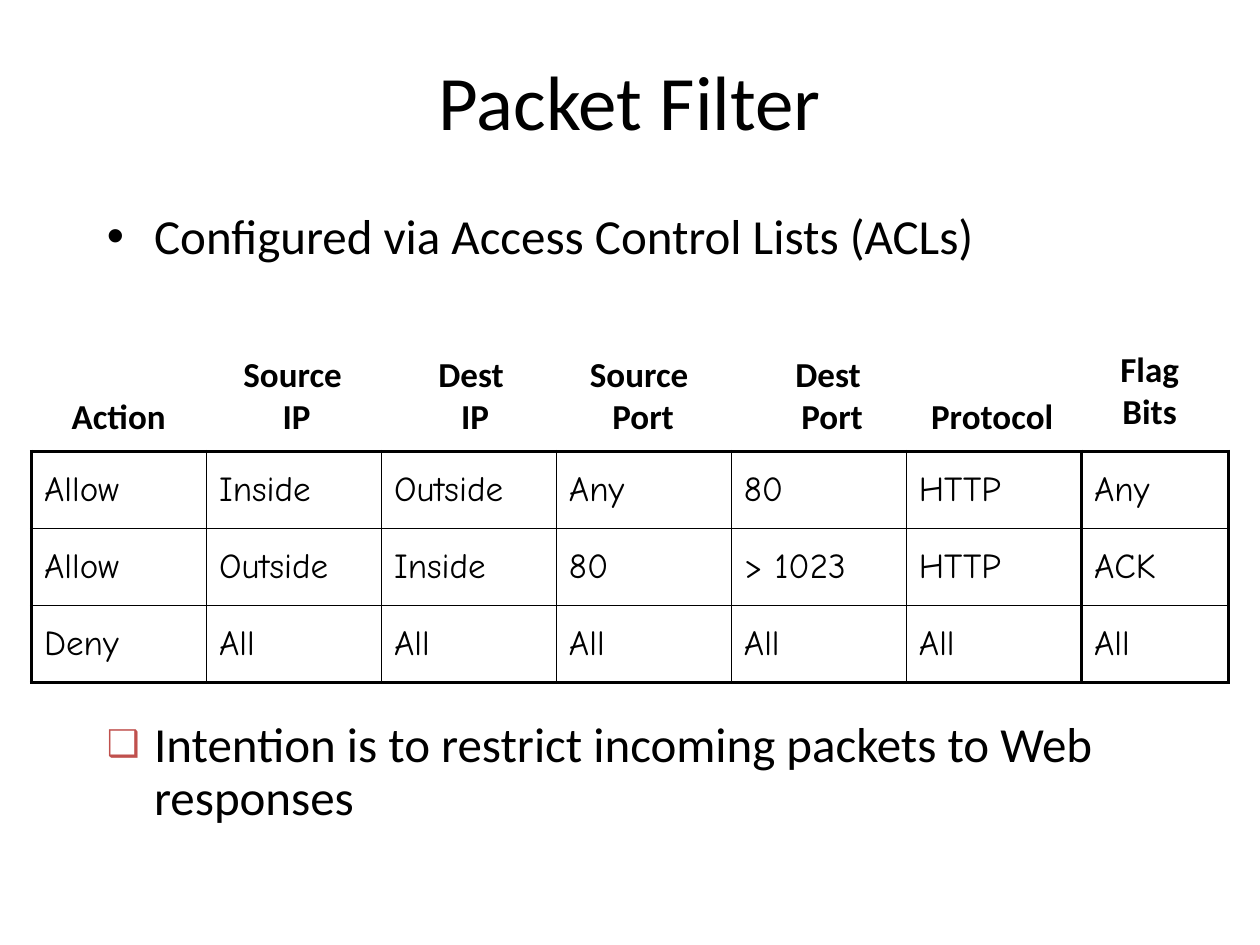
from lxml.etree import SubElement
from pptx import Presentation
from pptx.dml.color import RGBColor as Rgb
from pptx.enum.text import MSO_ANCHOR as Anchor, PP_ALIGN as Align
from pptx.oxml.ns import qn
from pptx.util import Pt

COLORS = {"ink": "000000", "accent": "C0504D"}
BODY_FONT, RULE_FONT = "Calibri", "Comic Neue"

TITLE = ("Packet Filter", (54, 24, 612, 66))
BULLETS = [
    ("Configured via Access Control Lists (ACLs)", (54, 114, 624, 78), "•", "ink", 100, 1.0),
    ("Intention is to restrict incoming packets to Web responses",
     (54, 408, 612, 72), "❑", "accent", 75, 0.9),
]
HEADINGS = [
    (["Action"], (30, 222, 75.6, 35)),
    (["Source ", "IP"], (126, 198, 87, 63)),
    (["Dest ", "IP"], (228, 198, 87, 63)),
    (["Source ", "Port"], (324, 198, 87, 63)),
    (["Dest ", "Port"], (432, 198, 87, 63)),
    (["Protocol"], (516, 222, 102, 35)),
    (["Flag", "Bits"], (606, 195, 102, 63)),
]
RULES = [
    ["Allow", "Inside", "Outside", "Any", "80", "HTTP"],
    ["Allow", "Outside", "Inside", "80", "> 1023", "HTTP"],
    ["Deny", "All", "All", "All", "All", "All"],
]
FLAGS = [["Any"], ["ACK"], ["All"]]
TABLE_TOP, ROW_HEIGHT = 258, 44
RULES_LEFT, RULE_WIDTH = 18, 100
FLAG_WIDTH = 84
THICK, THIN = 2.25, 1


def style(paragraph, size, face=BODY_FONT, bold=False):
    font = paragraph.font
    font.size, font.name, font.bold = Pt(size), face, bold
    font.color.rgb = Rgb.from_string(COLORS["ink"])


def add_text(slide, lines, box, size, align=Align.LEFT, bold=False, anchor=Anchor.TOP):
    frame = slide.shapes.add_textbox(*map(Pt, box)).text_frame
    frame.word_wrap = True
    frame.vertical_anchor = anchor
    frame.text = "\n".join(lines)
    for paragraph in frame.paragraphs:
        paragraph.alignment = align
        style(paragraph, size, bold=bold)
    return frame


def add_bullet(slide, text, box, mark, color, percent, spacing):
    paragraph = add_text(slide, [text], box, 28).paragraphs[0]
    paragraph.space_before = Pt(5.6)
    paragraph.line_spacing = spacing
    props = paragraph._p.get_or_add_pPr()
    props.set("marL", str(Pt(27)))
    props.set("indent", str(-Pt(27)))
    bullet = [("buClr", {}), ("buSzPct", {"val": str(percent * 1000)}),
              ("buFont", {"typeface": "Arial"}), ("buChar", {"char": mark})]
    first = len(props) - len(props.findall(qn("a:defRPr")))
    for offset, (tag, attributes) in enumerate(bullet):
        node = SubElement(props, qn("a:" + tag), attributes)
        props.insert(first + offset, node)
        if tag == "buClr":
            SubElement(node, qn("a:srgbClr"), val=COLORS[color])


def add_border(cell, side, width):
    line = SubElement(cell._tc.get_or_add_tcPr(), qn("a:ln" + side), w=str(Pt(width)))
    SubElement(SubElement(line, qn("a:solidFill")), qn("a:srgbClr"), val=COLORS["ink"])


def add_grid(slide, rows, left, width):
    row_count, column_count = len(rows), len(rows[0])
    grid = slide.shapes.add_table(
        row_count, column_count, Pt(left), Pt(TABLE_TOP),
        Pt(width * column_count), Pt(ROW_HEIGHT * row_count)).table
    grid.first_row = grid.horz_banding = False
    for r, row in enumerate(rows):
        for c, text in enumerate(row):
            cell = grid.cell(r, c)
            cell.text = text
            cell.vertical_anchor = Anchor.MIDDLE
            paragraph = cell.text_frame.paragraphs[0]
            paragraph.space_before = Pt(4)
            style(paragraph, 20, RULE_FONT)
            outer = {"L": c == 0, "R": c == column_count - 1,
                     "T": r == 0, "B": r == row_count - 1}
            for side, is_outer in outer.items():
                add_border(cell, side, THICK if is_outer else THIN)
            cell.fill.background()


def main():
    deck = Presentation()
    deck.slide_width, deck.slide_height = Pt(720), Pt(540)
    slide = deck.slides.add_slide(deck.slide_layouts[6])

    title, title_box = TITLE
    add_text(slide, [title], title_box, 44, Align.CENTER, anchor=Anchor.MIDDLE)
    for bullet in BULLETS:
        add_bullet(slide, *bullet)
    add_grid(slide, RULES, RULES_LEFT, RULE_WIDTH)
    add_grid(slide, FLAGS, RULES_LEFT + RULE_WIDTH * len(RULES[0]), FLAG_WIDTH)
    for lines, box in HEADINGS:
        add_text(slide, lines, box, 20, Align.CENTER, bold=True)

    deck.save("out.pptx")


if __name__ == "__main__":
    main()
